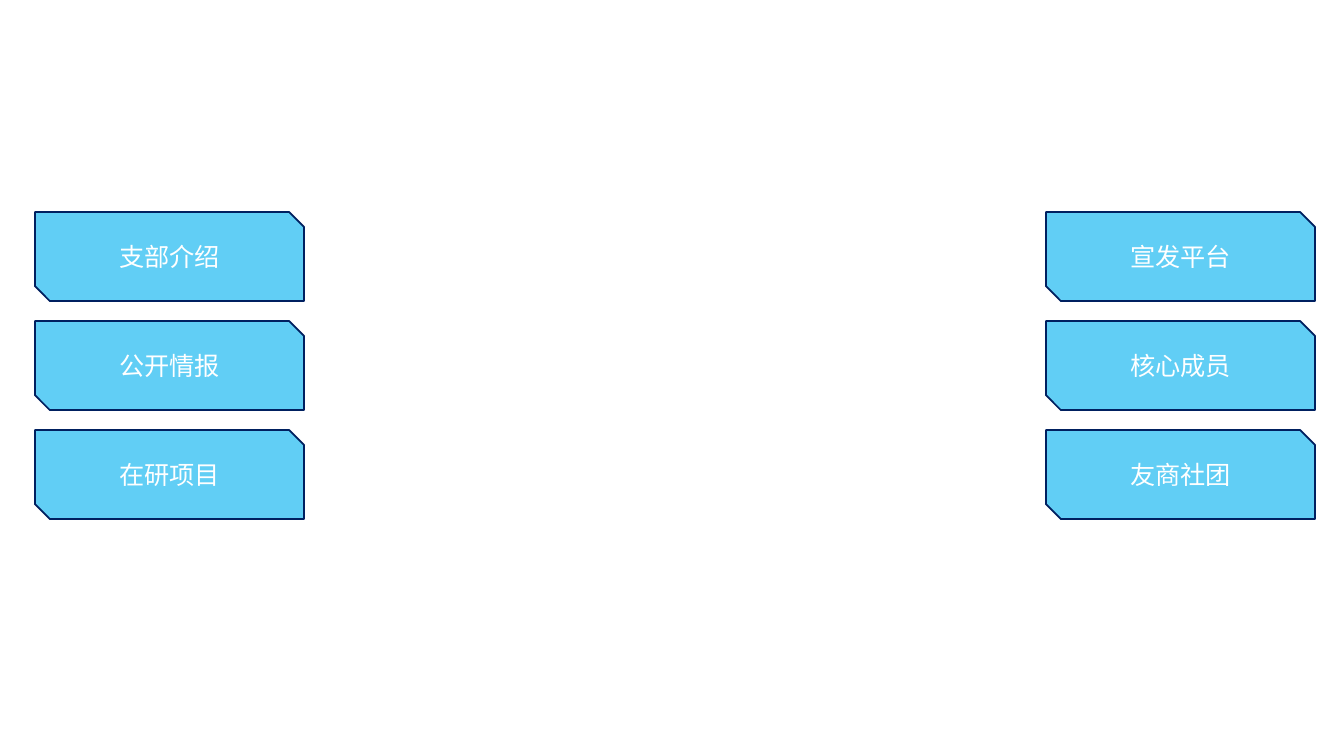
from lxml import etree
from pptx import Presentation
from pptx import util as u
from pptx.dml.color import RGBColor
from pptx.enum import shapes, text
from pptx.oxml import ns

PX = 914400 / 100.8
COLOURS = {"sky": "00B0F0", "navy": "002060", "white": "FFFFFF"}
FONT = "Noto Sans CJK SC"
LABEL_FORMAT = {"size": u.Pt(18), "name": FONT}
FRAME_FORMAT = {"vertical_anchor": text.MSO_ANCHOR.MIDDLE, "word_wrap": True}
BUTTON_WIDTH, BUTTON_HEIGHT = 269, 89
FIRST_TOP, PITCH = 212, 109
MENUS = {
    35: ("支部介绍", "公开情报", "在研项目"),
    1046: ("宣发平台", "核心成员", "友商社团"),
}


def px(length):
    """Turn pixels into EMU."""
    return u.Emu(round(length * PX))


def colour(name):
    """Look up a named colour."""
    return RGBColor.from_string(COLOURS[name])


def apply(target, values):
    """Set attributes from a dict of format values."""
    for key, value in values.items():
        setattr(target, key, value)


def paint(button, opacity):
    """Give a button its translucent fill and dark outline."""
    button.shadow.inherit = False
    button.fill.solid()
    button.fill.fore_color.rgb = colour("sky")
    sky = button._element.spPr.find(".//" + ns.qn("a:srgbClr"))
    etree.SubElement(sky, ns.qn("a:alpha"), val=str(opacity * 1000))
    button.line.color.rgb = colour("navy")
    button.line.width = u.Pt(1.25)


def write_label(button, label):
    """Write the centred label of a button."""
    frame = button.text_frame
    apply(frame, FRAME_FORMAT)
    paragraph = frame.paragraphs[0]
    paragraph.alignment = text.PP_ALIGN.CENTER
    run = paragraph.add_run()
    run.text = label
    apply(run.font, LABEL_FORMAT)
    run.font.color.rgb = colour("white")
    etree.SubElement(run._r.get_or_add_rPr(), ns.qn("a:ea"), typeface=FONT)


def add_button(slide, left, top, label):
    """Add one menu button with snipped corners."""
    button = slide.shapes.add_shape(
        shapes.MSO_SHAPE.SNIP_2_DIAG_RECTANGLE,
        px(left), px(top), px(BUTTON_WIDTH), px(BUTTON_HEIGHT),
    )
    paint(button, 62)
    write_label(button, label)


def add_menu(slide, left, labels):
    """Stack a column of buttons at an even pitch."""
    for row, label in enumerate(labels):
        add_button(slide, left, FIRST_TOP + row * PITCH, label)


def main():
    """Build the slide with its two menus."""
    deck = Presentation()
    apply(deck, {"slide_width": px(1344), "slide_height": px(756)})
    slide = deck.slides.add_slide(deck.slide_layouts[6])
    for left, labels in MENUS.items():
        add_menu(slide, left, labels)
    deck.save("out.pptx")


if __name__ == "__main__":
    main()
